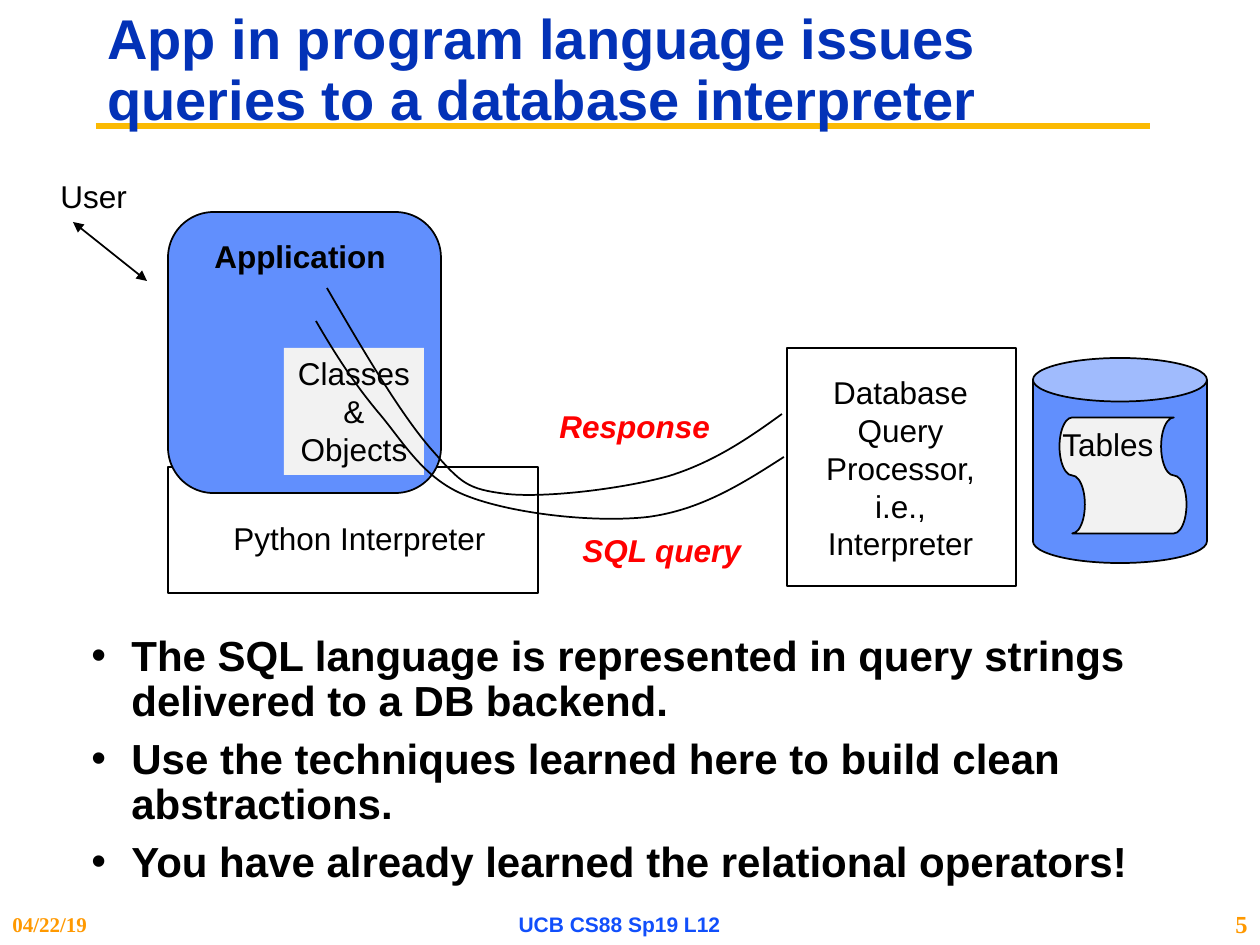
import pptx
import pptx.util
import pptx.dml.color
import pptx.enum.shapes
import pptx.enum.text
import pptx.oxml.ns
import lxml.etree

PX = 914400 / 126
qn = pptx.oxml.ns.qn
SHAPE = pptx.enum.shapes.MSO_SHAPE
ALIGN = pptx.enum.text.PP_ALIGN
ANCHOR = pptx.enum.text.MSO_ANCHOR
BLACK, BLUE, GRAY, ORANGE, RED = "000000", "618FFD", "F2F2F2", "FF9900", "FF0000"


def colour(value):
    return pptx.dml.color.RGBColor.from_string(value)


def write_text(shape, lines, size=18, color=BLACK, font="Arial", align=ALIGN.LEFT,
               anchor=ANCHOR.TOP, spacing=1.0, **style):
    frame = shape.text_frame
    frame.word_wrap = True
    frame.vertical_anchor = anchor
    frame.text = "\n".join(lines)
    for paragraph in frame.paragraphs:
        paragraph.alignment = align
        paragraph.line_spacing = spacing
        run = paragraph.runs[0]
        run.font.color.rgb = colour(color)
        for name, value in {"name": font, "size": pptx.util.Pt(size), **style}.items():
            setattr(run.font, name, value)


presentation = pptx.Presentation()
presentation.slide_width = round(1260 * PX)
presentation.slide_height = round(945 * PX)
slide = presentation.slides.add_slide(presentation.slide_layouts[6])
shapes = slide.shapes

connectors = [
    ((96, 126, 1150, 126), "FBBA03", 3.75, []),
    ((73, 222, 147, 281), BLACK, 1, ["headEnd", "tailEnd"]),
]
for ends, color, width, arrowheads in connectors:
    connector = shapes.add_connector(pptx.enum.shapes.MSO_CONNECTOR.STRAIGHT,
                                     *[round(value * PX) for value in ends])
    connector.line.color.rgb = colour(color)
    connector.line.width = pptx.util.Pt(width)
    for end in arrowheads:
        lxml.etree.SubElement(connector.line._get_or_add_ln(), qn(f"a:{end}"), type="triangle")
    lxml.etree.SubElement(connector.element.spPr, qn("a:effectLst"))

boxes = {
    "interpreter": (SHAPE.RECTANGLE, (168, 467, 370, 126), None, True),
    "application": (SHAPE.ROUNDED_RECTANGLE, (168, 212, 273, 281), BLUE, True),
    "processor": (SHAPE.RECTANGLE, (787, 348, 229, 238), None, True),
    "classes": (SHAPE.RECTANGLE, (284, 348, 140, 127), GRAY, False),
    "database": (SHAPE.CAN, (1033, 358, 174, 205), BLUE, True),
    "tables": (SHAPE.FLOWCHART_PUNCHED_TAPE, (1065, 412, 116, 127), GRAY, True),
}
drawn = {}
for name, (kind, frame, fill, outlined) in boxes.items():
    shape = shapes.add_shape(kind, *[round(value * PX) for value in frame])
    shape.shadow.inherit = False
    if fill:
        shape.fill.solid()
        shape.fill.fore_color.rgb = colour(fill)
    else:
        shape.fill.background()
    if outlined:
        shape.line.color.rgb = colour(BLACK)
        shape.line.width = pptx.util.Pt(1)
    else:
        shape.line.fill.background()
    drawn[name] = shape
drawn["tables"].rotation = 90
write_text(drawn["classes"], ["Classes & Objects"], align=ALIGN.CENTER)

query_curve = [
    (316, 321), (334, 352), (353, 382), (378, 412), (403, 441), (423, 479), (467, 496),
    (513, 514), (595, 523), (648, 517), (701, 510), (742, 484), (784, 457)]
response_curve = [
    (782, 414), (749, 438), (714, 462), (669, 476), (622, 489), (546, 498), (507, 494),
    (467, 489), (462, 484), (432, 450), (402, 416), (364, 352), (327, 288)]
for points in (query_curve, response_curve):
    builder = shapes.build_freeform(*points[0], scale=PX)
    builder.add_line_segments(points[1:], close=False)
    curve = builder.convert_to_shape()
    curve.shadow.inherit = False
    curve.fill.background()
    curve.line.color.rgb = colour(BLACK)
    curve.line.width = pptx.util.Pt(1)
    outline = next(curve.element.iter(qn("a:path")))
    segments = outline.findall(qn("a:lnTo"))
    for start in range(0, len(segments), 3):
        bezier = lxml.etree.SubElement(outline, qn("a:cubicBezTo"))
        for segment in segments[start:start + 3]:
            bezier.append(segment[0])
            outline.remove(segment)

label = {"bold": True, "italic": True, "color": RED}
footer = {"bold": True, "anchor": ANCHOR.MIDDLE}
times = {**footer, "font": "Times New Roman", "color": ORANGE}
texts = [
    ((95, 21, 1061, 102), ["App in program language issues queries to a database interpreter"],
     {"size": 32, "color": "0332B7", "bold": True, "anchor": ANCHOR.MIDDLE, "spacing": 0.9}),
    ((221, 513, 282, 50), ["Python Interpreter"], {}),
    ((202, 231, 199, 50), ["Application"], {"bold": True}),
    ((798, 367, 205, 204), ["Database Query Processor,", "i.e., Interpreter"],
     {"align": ALIGN.CENTER}),
    ((48, 171, 94, 50), ["User"], {}),
    ((570, 525, 187, 50), ["SQL query"], label),
    ((547, 401, 180, 50), ["Response"], label),
    ((1050, 419, 158, 57), ["Tables"], {}),
    ((0, 903, 210, 42), ["04/22/19"], {**times, "size": 12}),
    ((420, 903, 399, 42), ["UCB CS88 Sp19 L12"],
     {**footer, "size": 12, "color": "114FFB", "align": ALIGN.CENTER}),
    ((1187, 903, 73, 42), ["5"], {**times, "size": 14, "align": ALIGN.RIGHT}),
    ((79, 629, 1113, 179), [
        "The SQL language is represented in query strings delivered to a DB backend.",
        "Use the techniques learned here to build clean abstractions.",
        "You have already learned the relational operators!",
    ], {"size": 24, "bold": True, "spacing": 0.9}),
]
for frame, lines, style in texts:
    body = shapes.add_textbox(*[round(value * PX) for value in frame])
    write_text(body, lines, **style)

for index, paragraph in enumerate(body.text_frame.paragraphs):
    paragraph.space_before = pptx.util.Pt(7 if index else 0)
    properties = paragraph._p.get_or_add_pPr()
    properties.set("marL", str(round(40 * PX)))
    properties.set("indent", str(round(-40 * PX)))
    lxml.etree.SubElement(properties, qn("a:buFont"), typeface="Arial")
    lxml.etree.SubElement(properties, qn("a:buChar"), char="•")

presentation.save("out.pptx")
